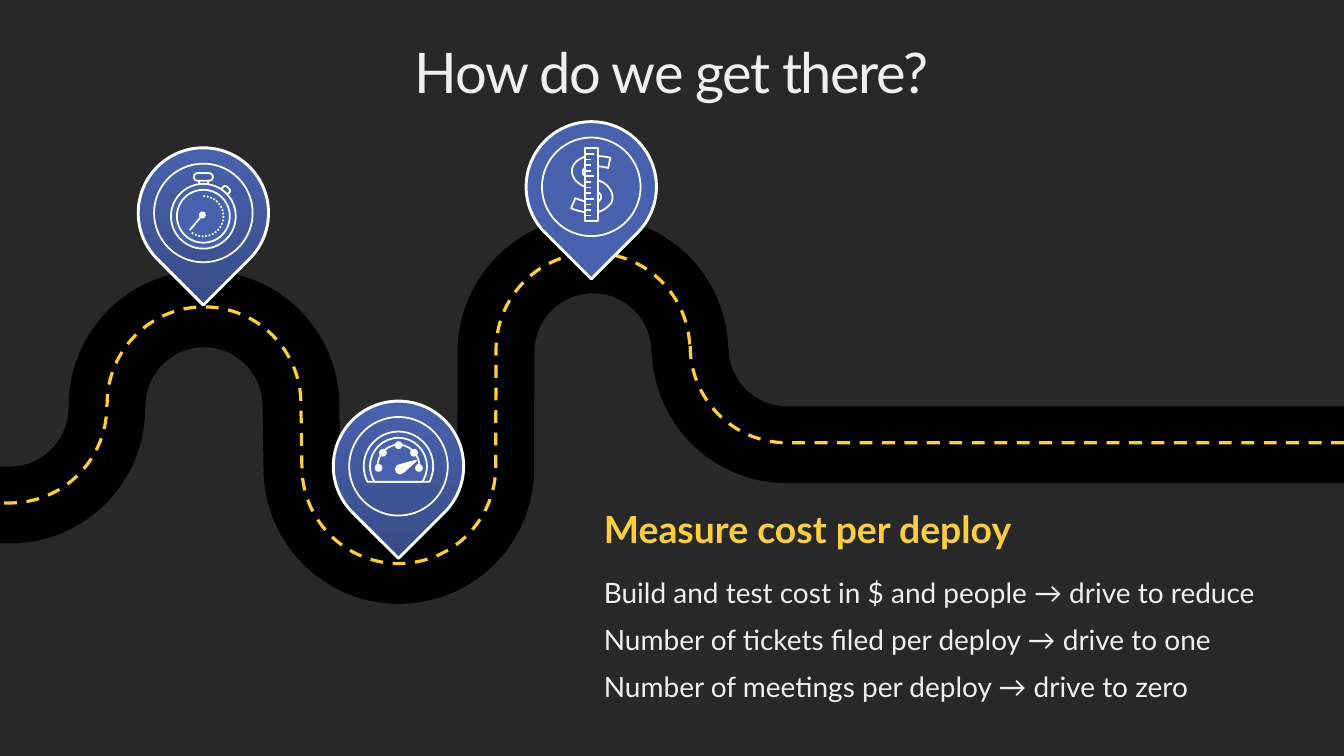
from math import asin, cos, degrees, radians, sin, tan
from lxml.etree import SubElement
from pptx import Presentation
from pptx.dml.color import RGBColor
from pptx.enum.dml import MSO_LINE
from pptx.enum.shapes import MSO_CONNECTOR, MSO_SHAPE
from pptx.enum.text import PP_ALIGN
from pptx.oxml.ns import qn
from pptx.util import Cm, Pt

TITLE = "How do we get there?"
HEADING = "Measure cost per deploy"
POINTS = [
    "Build and test cost in $ and people → drive to reduce",
    "Number of tickets filed per deploy → drive to one",
    "Number of meetings per deploy → drive to zero",
]
WIDTH, HEIGHT = 40.64, 22.86
BACK, ROAD, YELLOW, TEXT = "282828", "000000", "FFCE3F", "F0F0F0"
BLUE, NAVY, WHITE = "4861AD", "384C87", "FFFFFF"

BEND_RADIUS, HALF_ROAD = 2.93, 1.16
BENDS = [
    (0.3, 12.34, 90, 0),
    (6.17, 12.27, 180, 360),
    (12.06, 14.17, 180, 0),
    (17.93, 10.64, 180, 360),
    (23.8, 10.52, 180, 90),
]
PIN_RADIUS, RING_RADIUS = 1.97, 1.49
DOLLAR = [
    (0.58, -0.88), (0.51, -0.57),
    (0.51, -0.57, -0.18, -0.75, -0.25, -0.5),
    (-0.36, -0.24, 0.2, -0.32, 0.48, -0.04),
    (0.74, 0.24, 0.66, 0.5, 0.48, 0.62),
    (0.33, 0.75, 0.15, 0.77, 0.15, 0.77),
    (0.18, 1), (-0.15, 1), (-0.18, 0.77),
    (-0.18, 0.77, -0.46, 0.72, -0.61, 0.65),
    (-0.48, 0.34),
    (-0.48, 0.34, 0.2, 0.65, 0.3, 0.34),
    (0.36, 0.01, -0.38, 0.14, -0.56, -0.34),
    (-0.56, -0.34, -0.74, -0.75, -0.13, -0.93),
    (-0.13, -1.16), (0.2, -1.16), (0.2, -0.93),
    (0.2, -0.93, 0.38, -0.93, 0.58, -0.88),
]
GAUGE_DOTS = [(-0.6, 0.05), (0.62, 0.05), (0.47, -0.41), (-0.47, -0.41), (0, -0.64)]
DOME_RADII, DOME_BASE = (1.05, 0.86), 0.47
TICKS, TICK_STEP = 12, 0.17


def rgb(value):
    return RGBColor.from_string(value)


def arc_path(cx, cy, r, start, end):
    low, high = min(start, end), max(start, end)
    stops = [low] + [a for a in range(0, 450, 90) if low < a < high] + [high]
    stops = [radians(a) for a in (stops if end > start else stops[::-1])]
    path = [(cx + r * cos(stops[0]), cy + r * sin(stops[0]))]
    for a, b in zip(stops, stops[1:]):
        k = 4 / 3 * tan((b - a) / 4)
        path.append((
            cx + r * (cos(a) - k * sin(a)), cy + r * (sin(a) + k * cos(a)),
            cx + r * (cos(b) + k * sin(b)), cy + r * (sin(b) - k * cos(b)),
            cx + r * cos(b), cy + r * sin(b),
        ))
    return path


def road_path(offset, lift=0, leftward=False):
    path = []
    for cx, cy, start, end in BENDS[::-1] if leftward else BENDS:
        r = BEND_RADIUS + (offset if end > start else -offset)
        ends = (end, start) if leftward else (start, end)
        path += arc_path(cx, cy - lift, r, *ends)
    first, last = (WIDTH, 0) if leftward else (0, WIDTH)
    return [(first, path[0][1])] + path + [(last, path[-1][-1])]


def style(sp, fill=None, line=WHITE, width=1.5, dash=None):
    sp.shadow.inherit = False
    if fill:
        sp.fill.solid()
        sp.fill.fore_color.rgb = rgb(fill)
    else:
        sp.fill.background()
    if line:
        sp.line.color.rgb = rgb(line)
        sp.line.width = Pt(width)
        sp.line.dash_style = dash
    else:
        sp.line.fill.background()
    return sp


def outline(shapes, path, origin=(0, 0), close=True, **look):
    x, y = origin
    dots = [(Cm(x + step[i]), Cm(y + step[i + 1])) for step in path for i in range(0, len(step), 2)]
    builder = shapes.build_freeform(*dots[0])
    builder.add_line_segments(dots[1:], close=close)
    sp = builder.convert_to_shape()
    nodes = iter(sp._element.findall(".//" + qn("a:lnTo")))
    for step in path[1:]:
        node, *others = [next(nodes) for _ in range(len(step) // 2)]
        if others:
            node.tag = qn("a:cubicBezTo")
        for other in others:
            node.append(other[0])
            other.getparent().remove(other)
    return style(sp, **look)


def centred(shapes, kind, cx, cy, w, h, adj=(), **look):
    sp = shapes.add_shape(kind, Cm(cx - w / 2), Cm(cy - h / 2), Cm(w), Cm(h))
    for i, value in enumerate(adj):
        sp.adjustments[i] = value
    return style(sp, **look)


def circle(shapes, cx, cy, r, **look):
    return centred(shapes, MSO_SHAPE.OVAL, cx, cy, 2 * r, 2 * r, **look)


def arc(shapes, cx, cy, w, h, start, end, **look):
    return centred(shapes, MSO_SHAPE.ARC, cx, cy, w, h, (start * 0.6, end * 0.6), **look)


def stroke(shapes, x1, y1, x2, y2):
    c = shapes.add_connector(MSO_CONNECTOR.STRAIGHT, Cm(x1), Cm(y1), Cm(x2), Cm(y2))
    c.line.color.rgb = rgb(WHITE)
    c.line.width = Pt(1.5)
    SubElement(c._element.spPr, qn("a:effectLst"))
    return c


def draw_dollar(shapes, x, y):
    outline(shapes, DOLLAR, (x, y), fill=BLUE)
    centred(shapes, MSO_SHAPE.RECTANGLE, x + 0.01, y - 0.07, 0.38, 2.21, fill=BLUE)
    for i in range(TICKS):
        ty = y - 1 + i * TICK_STEP
        stroke(shapes, x - 0.15, ty, x + (0.08 if i % 4 == 0 else -0.02), ty)


def draw_gauge(shapes, x, y):
    for r in DOME_RADII:
        dip = degrees(asin(DOME_BASE / r))
        outline(shapes, arc_path(x, y, r, 180 - dip, 360 + dip), fill=BLUE)
    arc(shapes, x, y + 0.02, 1.27, 1.35, 176, 0)
    needle = arc_path(0.05, 0.09, 0.13, 40, 270) + [(0.53, -0.17)]
    outline(shapes, needle, (x, y), fill=WHITE)
    for dx, dy in GAUGE_DOTS:
        circle(shapes, x + dx, y + dy, 0.09, fill=WHITE)


def draw_stopwatch(shapes, x, y):
    centred(shapes, MSO_SHAPE.RECTANGLE, x, y - 0.88, 0.28, 0.2)
    button = centred(shapes, MSO_SHAPE.ROUND_2_SAME_RECTANGLE, x + 0.66, y - 0.67, 0.25, 0.25, (0.27, 0))
    button.rotation = 45
    circle(shapes, x, y + 0.1, 0.98, fill=BLUE)
    circle(shapes, x, y + 0.1, 0.8)
    hand = stroke(shapes, x - 0.03, y + 0.06, x - 0.41, y + 0.52)
    SubElement(hand._element.spPr.find(qn("a:ln")), qn("a:headEnd"), type="oval")
    arc(shapes, x, y + 0.1, 1.22, 1.22, 270, 125, dash=MSO_LINE.ROUND_DOT)
    centred(shapes, MSO_SHAPE.ROUNDED_RECTANGLE, x, y - 1.09, 0.58, 0.23, (0.5,))


def draw_pin(s, x, y, icon, shaded):
    shapes = s.shapes.add_group_shape().shapes
    drop = arc_path(x, y, PIN_RADIUS, 135, 405) + [(x, y + PIN_RADIUS * 2 ** 0.5)]
    sp = outline(shapes, drop, fill=BLUE, width=2.5)
    if shaded:
        sp.fill.gradient()
        sp.fill.gradient_angle = 270
        for stop, color, position in zip(sp.fill.gradient_stops, (BLUE, NAVY), (0.02, 1)):
            stop.color.rgb = rgb(color)
            stop.position = position
    circle(shapes, x, y, RING_RADIUS)
    icon(shapes, x, y)


def add_text(s, box, lines, size, color, left=0, right=0.51, bold=False, align=PP_ALIGN.LEFT):
    tf = s.shapes.add_textbox(*map(Cm, box)).text_frame
    tf.word_wrap = True
    tf.margin_left, tf.margin_right = Cm(left), Cm(right)
    tf.margin_top = tf.margin_bottom = Cm(0.41)
    for i, line in enumerate(lines):
        p = tf.paragraphs[0] if i == 0 else tf.add_paragraph()
        p.add_run().text = line
        p.alignment, p.line_spacing = align, 0.9
        if len(lines) > 1:
            p.space_before, p.space_after = Pt(6 if i else 0), Pt(8)
        f = p.font
        f.name, f.size, f.bold, f.color.rgb = "Lato", Pt(size), bold, rgb(color)
    return tf


prs = Presentation()
prs.slide_width, prs.slide_height = Cm(WIDTH), Cm(HEIGHT)
s = prs.slides.add_slide(prs.slide_layouts[6])
s.background.fill.solid()
s.background.fill.fore_color.rgb = rgb(BACK)
outline(s.shapes, road_path(HALF_ROAD) + road_path(-HALF_ROAD, leftward=True), fill=ROAD, line=None)
outline(s.shapes, road_path(0, 0.06, True), close=False, line=YELLOW, width=2.75, dash=MSO_LINE.DASH)
tf = add_text(s, (0.89, 0.97, 38.84, 3), [TITLE], 48, TEXT, left=0.51, align=PP_ALIGN.CENTER)
tf.paragraphs[0].runs[0]._r.get_or_add_rPr().set("spc", "-120")
add_text(s, (18.26, 17.12, 20.32, 4.6), POINTS, 24, TEXT, right=0)
add_text(s, (18.26, 15.04, 16.33, 2.06), [HEADING], 32, YELLOW, bold=True)
draw_pin(s, 17.88, 5.65, draw_dollar, False)
draw_pin(s, 12.05, 14.1, draw_gauge, True)
draw_pin(s, 6.15, 6.44, draw_stopwatch, True)
prs.save("out.pptx")
